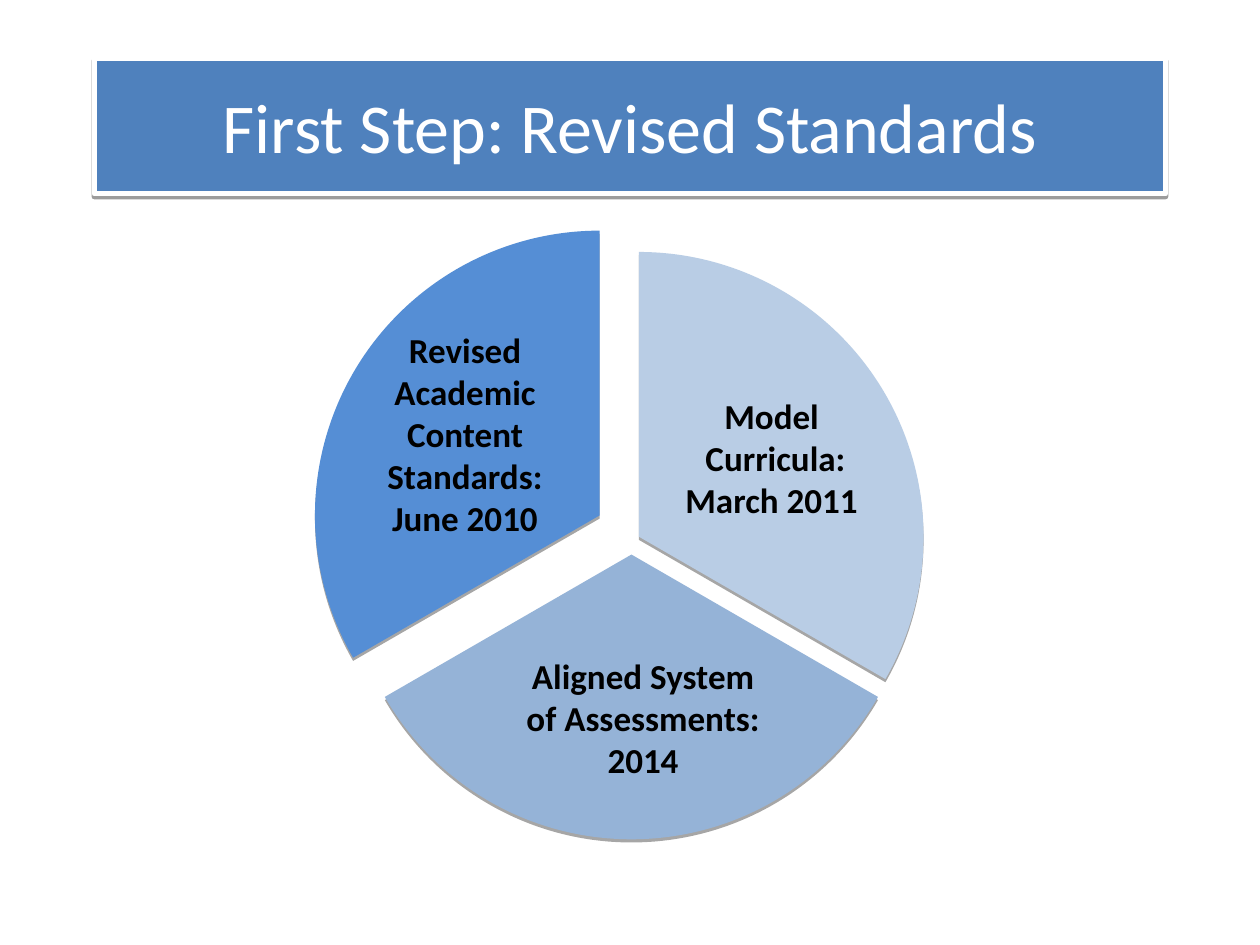
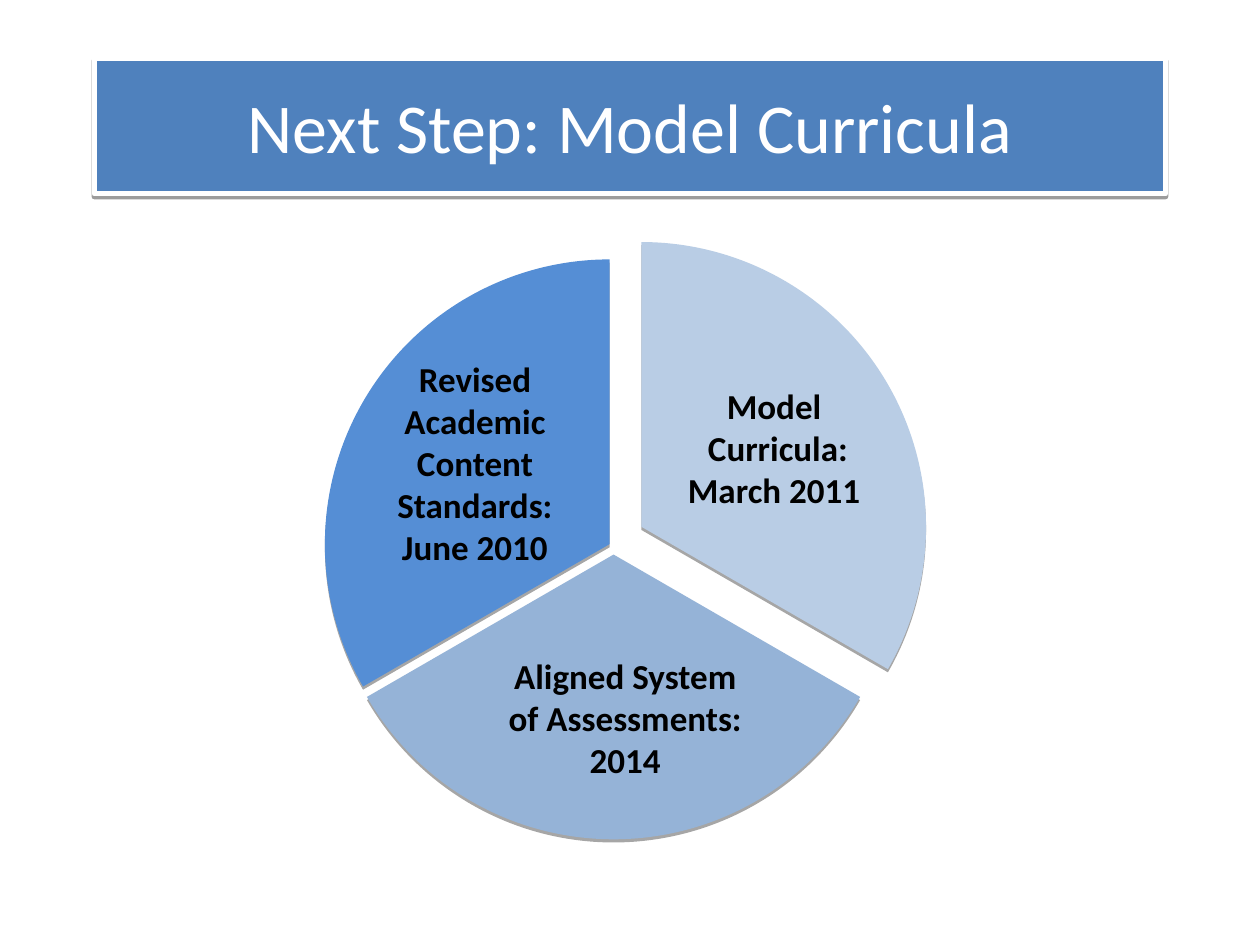
from lxml.etree import SubElement
from pptx import Presentation
from pptx.dml.color import RGBColor
from pptx.enum.shapes import MSO_SHAPE
from pptx.enum.text import MSO_ANCHOR, PP_ALIGN
from pptx.oxml.ns import qn
from pptx.util import Cm, Pt

BLACK = RGBColor(0x00, 0x00, 0x00)
WHITE = RGBColor(0xFF, 0xFF, 0xFF)
BAND = RGBColor(0x4F, 0x81, 0xBD)
STRONG = RGBColor(0x55, 0x8E, 0xD5)
PALE = RGBColor(0xB9, 0xCD, 0xE5)
MID = RGBColor(0x95, 0xB3, 0xD7)

# Wedge: fill, start and end angle, label lines, label box within the circle (cm)
WEDGES = [
    (STRONG, 150, 270, ["Revised Academic Content Standards: June 2010"],
     (1.02, 1.85, 4.01, 4.5)),
    (PALE, 270, 30, ["Model", " Curricula:", "March 2011"],
     (5.99, 2.74, 4.85, 2.79)),
    (MID, 30, 150, ["Aligned System", "of Assessments:", "2014"],
     (3.12, 7.62, 5.71, 2.79)),
]

# Slide: title, top left corner of each wedge's circle (cm)
SLIDES = [
    ("First Step: Revised Standards",
     [(6.35, 4.65), (7.14, 5.08), (6.99, 5.44)]),
    ("Next Step: Model Curricula",
     [(6.55, 5.23), (7.19, 4.88), (6.63, 5.44)]),
]

CIRCLE = 11.48
TITLE_BOX = (1.9, 1.17, 21.6, 2.74)
TITLE_FONT = {"name": "Calibri", "size": Pt(40)}
LABEL_FONT = {"name": "Calibri", "size": Pt(20), "bold": True}


def write(shape, lines, font, color):
    frame = shape.text_frame
    frame.word_wrap = True
    frame.text = "\n".join(lines)
    for para in frame.paragraphs:
        para.alignment = PP_ALIGN.CENTER
        for name, value in font.items():
            setattr(para.font, name, value)
        para.font.color.rgb = color


def shade(shape, drop, alpha):
    """Give the shape a sharp shadow straight below it."""
    shape.shadow.inherit = False
    effects = shape.element.spPr.find(qn("a:effectLst"))
    outer = SubElement(effects, qn("a:outerShdw"), blurRad="0",
                       dist=str(Pt(drop)), dir="5400000", rotWithShape="0")
    color = SubElement(outer, qn("a:srgbClr"), val=str(BLACK))
    SubElement(color, qn("a:alpha"), val=str(alpha * 1000))


def add_filled(slide, kind, box, fill):
    shape = slide.shapes.add_shape(kind, *map(Cm, box))
    shape.fill.solid()
    shape.fill.fore_color.rgb = fill
    return shape


def add_wedge(slide, corner, fill, start, end):
    pie = add_filled(slide, MSO_SHAPE.PIE, (*corner, CIRCLE, CIRCLE), fill)
    pie.line.fill.background()
    # Adjustments count 100000ths, angles 60000ths of a degree
    for i, angle in enumerate((start, end)):
        pie.adjustments[i] = angle * 0.6
    shade(pie, 1.8, 35)


def add_label(slide, corner, lines, box):
    x, y, width, height = box
    place = (corner[0] + x, corner[1] + y, width, height)
    label = slide.shapes.add_textbox(*map(Cm, place))
    write(label, lines, LABEL_FONT, BLACK)


def add_title(slide, title):
    band = add_filled(slide, MSO_SHAPE.RECTANGLE, TITLE_BOX, BAND)
    band.line.color.rgb = WHITE
    band.line.width = Pt(3)
    shade(band, 1.6, 38)
    band.text_frame.vertical_anchor = MSO_ANCHOR.MIDDLE
    write(band, [title], TITLE_FONT, WHITE)


def main():
    deck = Presentation()
    deck.slide_width, deck.slide_height = Cm(25.4), Cm(19.05)
    for title, corners in SLIDES:
        slide = deck.slides.add_slide(deck.slide_layouts[6])
        for corner, (fill, start, end, _, _) in zip(corners, WEDGES):
            add_wedge(slide, corner, fill, start, end)
        for corner, (_, _, _, lines, box) in zip(corners, WEDGES):
            add_label(slide, corner, lines, box)
        add_title(slide, title)
    deck.save("out.pptx")


if __name__ == "__main__":
    main()
